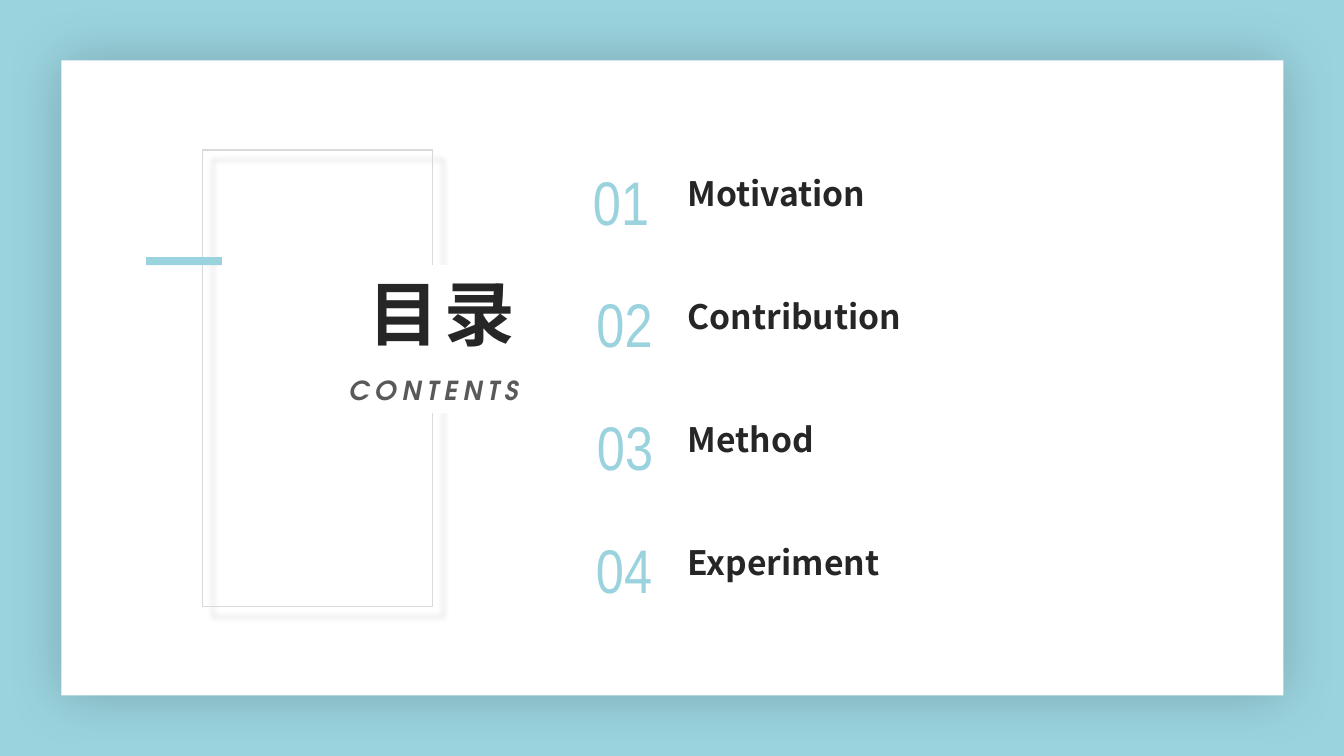
from lxml import etree
from pptx import Presentation
from pptx.dml.color import RGBColor
from pptx.enum.shapes import MSO_SHAPE
from pptx.enum.text import MSO_ANCHOR, PP_ALIGN
from pptx.oxml.ns import qn
from pptx.util import Inches, Pt

RECT = MSO_SHAPE.RECTANGLE
TOP, MIDDLE, BOTTOM = MSO_ANCHOR.TOP, MSO_ANCHOR.MIDDLE, MSO_ANCHOR.BOTTOM
LEFT, CENTER, RIGHT = PP_ALIGN.LEFT, PP_ALIGN.CENTER, PP_ALIGN.RIGHT

AQUA, WHITE, INK, GREY, PALE = "9AD3DE", "FFFFFF", "262626", "595959", "D9D9D9"
CJK, NARROW, GEOMETRIC = "Noto Sans CJK SC", "Arial Narrow", "TeX Gyre Adventor"

# Topic and width of its number box
TOPICS = [("Motivation", 0.72), ("Contribution", 0.79), ("Method", 0.8), ("Experiment", 0.78)]


def rgb(value):
    return RGBColor.from_string(value)


def add_rect(slide, x, y, w, h, fill=None, line=None):
    sp = slide.shapes.add_shape(RECT, Inches(x), Inches(y), Inches(w), Inches(h))
    sp.shadow.inherit = False
    if fill:
        sp.fill.solid()
        sp.fill.fore_color.rgb = rgb(fill)
    else:
        sp.fill.background()
    if line:
        sp.line.color.rgb = rgb(line)
        sp.line.width = Pt(1)
    else:
        sp.line.fill.background()
    return sp


def add_shadow(sp, blur, distance=0, degrees=0):
    """Give the shape a soft black shadow at 20 % opacity."""
    effects = sp._element.spPr.find(qn("a:effectLst"))
    shadow = etree.SubElement(effects, qn("a:outerShdw"), blurRad=str(Pt(blur)),
                              dist=str(Pt(distance)), dir=str(degrees * 60000),
                              algn="ctr", rotWithShape="0")
    color = etree.SubElement(shadow, qn("a:srgbClr"), val="000000")
    etree.SubElement(color, qn("a:alpha"), val="20000")


def write(sp, text, size, font, color, align, anchor, bold=False, italic=False,
          spacing=0, wrap=False):
    tf = sp.text_frame
    tf.word_wrap = wrap
    tf.vertical_anchor = anchor
    p = tf.paragraphs[0]
    p.text = text
    p.alignment = align
    r = p.runs[0]
    r.font.size = Pt(size)
    r.font.name = font
    r.font.bold = bold
    r.font.italic = italic
    r.font.color.rgb = rgb(color)
    rPr = r.font._element
    etree.SubElement(rPr, qn("a:ea"), typeface=font)
    if spacing:
        rPr.set("spc", str(spacing * 100))
    return tf


def add_title(slide, x, y):
    """Outlined frame with the title and subtitle breaking its right side."""
    frame = add_rect(slide, x, y, 2.28, 4.53, line=PALE)
    add_shadow(frame, 4, 10, 45)
    title = add_rect(slide, x + 1.4, y + 1.14, 1.8, 1.14, WHITE)
    write(title, "目录", 50.4, CJK, INK, RIGHT, TOP, bold=True, spacing=4, wrap=True)
    subtitle = add_rect(slide, x + 1.37, y + 2.17, 1.86, 0.44, WHITE)
    write(subtitle, "CONTENTS", 18.7, GEOMETRIC, GREY, RIGHT, TOP,
          bold=True, italic=True, spacing=4)


def add_topic(slide, x, y, number, topic, number_width):
    box = slide.shapes.add_textbox(Inches(x), Inches(y), Inches(number_width), Inches(0.77))
    tf = write(box, f"{number:02d}", 44, NARROW, AQUA, CENTER, MIDDLE)
    tf.margin_left = tf.margin_right = 0
    tf.paragraphs[0].line_spacing = 1.2
    box = slide.shapes.add_textbox(Inches(x + 0.5), Inches(y + 0.32), Inches(4.33), Inches(0.27))
    tf = write(box, topic, 24, CJK, INK, LEFT, BOTTOM, bold=True)
    tf.margin_left = Inches(0.52)
    tf.margin_top = tf.margin_right = tf.margin_bottom = 0


def build_contents(prs):
    slide = prs.slides.add_slide(prs.slide_layouts[6])
    slide.background.fill.solid()
    slide.background.fill.fore_color.rgb = rgb(AQUA)
    card = add_rect(slide, 0.61, 0.6, 12.12, 6.3, WHITE)
    add_shadow(card, 40)
    add_title(slide, 2.01, 1.49)
    for i, (topic, number_width) in enumerate(TOPICS):
        add_topic(slide, 5.8, 1.53 + 1.22 * i, i + 1, topic, number_width)
    add_rect(slide, 1.45, 2.55, 0.75, 0.08, AQUA)


def main():
    prs = Presentation()
    prs.slide_width, prs.slide_height = Inches(13.33), Inches(7.5)
    build_contents(prs)
    prs.save("out.pptx")


if __name__ == "__main__":
    main()
